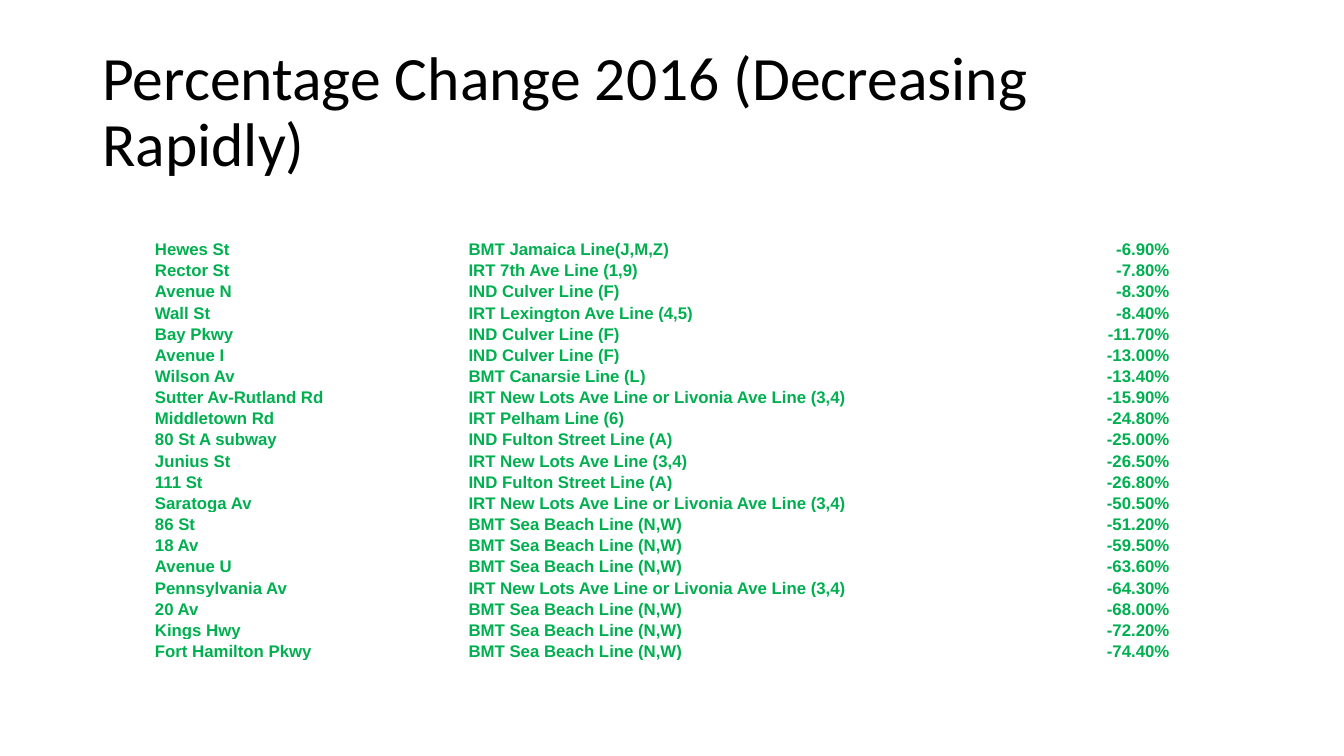
"""Build the slide listing subway stations with rapidly decreasing ridership in 2016."""
from pptx import Presentation
from pptx.dml.color import RGBColor
from pptx.enum.text import MSO_ANCHOR, PP_ALIGN
from pptx.util import Pt

LEFT, RIGHT = PP_ALIGN.LEFT, PP_ALIGN.RIGHT
MIDDLE, BOTTOM = MSO_ANCHOR.MIDDLE, MSO_ANCHOR.BOTTOM
BLACK = RGBColor(0x00, 0x00, 0x00)
GREEN = RGBColor(0x00, 0xB0, 0x50)

JAMAICA = "BMT Jamaica Line(J,M,Z)"
SEVENTH = "IRT 7th Ave Line (1,9)"
CULVER = "IND Culver Line (F)"
LEXINGTON = "IRT Lexington Ave Line (4,5)"
CANARSIE = "BMT Canarsie Line (L)"
LIVONIA = "IRT New Lots Ave Line or Livonia Ave Line (3,4)"
PELHAM = "IRT Pelham Line (6)"
FULTON = "IND Fulton Street Line (A)"
NEW_LOTS = "IRT New Lots Ave Line (3,4)"
SEA_BEACH = "BMT Sea Beach Line (N,W)"

STATIONS = [
    ("Hewes St", JAMAICA, -6.9),
    ("Rector St", SEVENTH, -7.8),
    ("Avenue N", CULVER, -8.3),
    ("Wall St", LEXINGTON, -8.4),
    ("Bay Pkwy", CULVER, -11.7),
    ("Avenue I", CULVER, -13.0),
    ("Wilson Av", CANARSIE, -13.4),
    ("Sutter Av-Rutland Rd", LIVONIA, -15.9),
    ("Middletown Rd", PELHAM, -24.8),
    ("80 St A subway", FULTON, -25.0),
    ("Junius St", NEW_LOTS, -26.5),
    ("111 St", FULTON, -26.8),
    ("Saratoga Av", LIVONIA, -50.5),
    ("86 St", SEA_BEACH, -51.2),
    ("18 Av", SEA_BEACH, -59.5),
    ("Avenue U", SEA_BEACH, -63.6),
    ("Pennsylvania Av", LIVONIA, -64.3),
    ("20 Av", SEA_BEACH, -68.0),
    ("Kings Hwy", SEA_BEACH, -72.2),
    ("Fort Hamilton Pkwy", SEA_BEACH, -74.4),
]


class SlideBuilder:
    """Hold the style and the current slide."""

    title_font, table_font = "Calibri", "Arial"
    title_size, table_size = Pt(44), Pt(12)
    row_height = Pt(14.5)
    cell_margin = Pt(0.7)

    def __init__(self, slide):
        self.slide = slide

    def add_run(self, paragraph, text, font_name, size, color, bold=False):
        run = paragraph.add_run()
        run.text = text
        run.font.name = font_name
        run.font.size = size
        run.font.bold = bold
        run.font.color.rgb = color

    def add_title(self, text, left, top, width, height):
        frame = self.slide.shapes.add_textbox(left, top, width, height).text_frame
        frame.word_wrap = True
        frame.vertical_anchor = MIDDLE
        paragraph = frame.paragraphs[0]
        paragraph.line_spacing = 0.9
        self.add_run(paragraph, text, self.title_font, self.title_size, BLACK)

    def fill_cell(self, cell, text, alignment):
        cell.fill.background()
        cell.vertical_anchor = BOTTOM
        cell.margin_left = cell.margin_right = cell.margin_top = self.cell_margin
        cell.margin_bottom = 0
        paragraph = cell.text_frame.paragraphs[0]
        paragraph.alignment = alignment
        self.add_run(paragraph, text, self.table_font, self.table_size, GREEN, bold=True)

    def add_table(self, rows, left, top, widths, alignment):
        table = self.slide.shapes.add_table(
            len(rows), len(widths), left, top, sum(widths), self.row_height * len(rows)
        ).table
        table.first_row = table.horz_banding = False
        for column, width in zip(table.columns, widths):
            column.width = width
        for row, texts in zip(table.rows, rows):
            row.height = self.row_height
            for cell, text in zip(row.cells, texts):
                self.fill_cell(cell, text, alignment)


presentation = Presentation()
presentation.slide_width, presentation.slide_height = Pt(960), Pt(540)
builder = SlideBuilder(presentation.slides.add_slide(presentation.slide_layouts[6]))

builder.add_title(
    "Percentage Change 2016 (Decreasing Rapidly)", Pt(66), Pt(28.75), Pt(828), Pt(104.4)
)
station_rows = [(station, line) for station, line, change in STATIONS]
change_rows = [(f"{change:.2f}%",) for station, line, change in STATIONS]
table_top = Pt(170)
builder.add_table(station_rows, Pt(110), table_top, [Pt(224), Pt(327.5)], LEFT)
builder.add_table(change_rows, Pt(643), table_top, [Pt(193)], RIGHT)

presentation.save("out.pptx")
